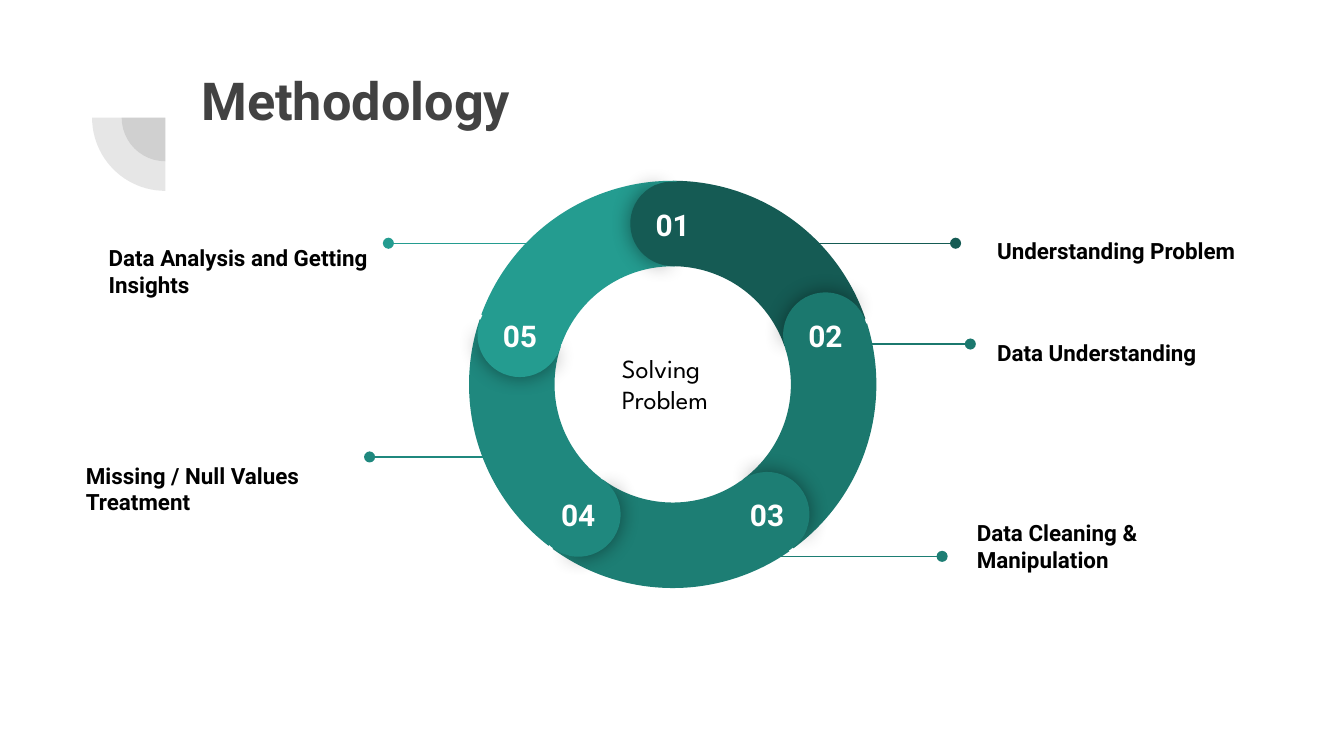
from math import cos, radians, sin

from lxml.etree import SubElement as Sub
from pptx import Presentation
from pptx.dml.color import RGBColor as RGB
from pptx.enum.shapes import MSO_CONNECTOR as LINE, MSO_SHAPE as SHAPE
from pptx.enum.text import MSO_ANCHOR as ANCHOR, PP_ALIGN as ALIGN
from pptx.oxml.ns import qn
from pptx.util import Inches, Pt

THEME = {
    "font": "Roboto", "hub_font": "League Spartan",
    "title": 28, "number": 16, "hub": 14, "label": 12,
    "dark": "424242", "black": "000000", "white": "FFFFFF",
    "steps": ["155B54", "1B786E", "1D7E74", "1F887E", "249C90"],
}

prs = Presentation()
prs.slide_width = Inches(10)
prs.slide_height = prs.slide_width * 9 // 16
s = prs.slides.add_slide(prs.slide_layouts[6])
CELL = prs.slide_width / 100


def grid(*cells):
    return [round(c * CELL) for c in cells]


def text(words, x, y, w, h, size="label", color="black", font="font",
         bold=True, align=ALIGN.LEFT, anchor=ANCHOR.TOP):
    tf = s.shapes.add_textbox(*grid(x, y, w, h)).text_frame
    tf.word_wrap = True
    tf.vertical_anchor = anchor
    tf.margin_left, tf.margin_top, tf.margin_right, tf.margin_bottom = grid(1, 1, 1, 1)
    p = tf.paragraphs[0]
    p.alignment = align
    r = p.add_run()
    r.text = words
    r.font.name = THEME[font]
    r.font.size = Pt(THEME[size])
    r.font.bold = bold
    r.font.color.rgb = RGB.from_string(THEME[color])


STEPS = [
    ("Understanding Problem", 73.2, 13.6, 57, 71.1, 18.1),
    ("Data Understanding", 73.2, 21.2, 62.5, 72.2, 25.6),
    ("Data Cleaning & Manipulation", 71.7, 35.6, 50, 70.1, 41.4),
    ("Missing / Null Values Treatment", 5.4, 31.3, 37.7, 27.5, 34),
    ("Data Analysis and Getting Insights", 7.1, 15.1, 42.3, 28.9, 18.1),
]
for (label, x, y, x1, x2, line_y), color in zip(STEPS, THEME["steps"]):
    c = s.shapes.add_connector(LINE.STRAIGHT, *grid(x1, line_y, x2, line_y))
    c.line.color.rgb = RGB.from_string(color)
    c.line.width = Pt(0.75)
    Sub(c.line._get_or_add_ln(), qn("a:tailEnd"), type="oval")
    Sub(c._element.spPr, qn("a:effectLst"))
    text(label, x, y, 23.2, 10.1, anchor=ANCHOR.MIDDLE)

CX, CY, RING, RADIUS, CAP = 50.05, 28.6, 30.3, 11.95, 6.3
QUARTER = (107.93, 162)
centers = [(CX + RADIUS * cos(radians(72 * i - 90)),
            CY + RADIUS * sin(radians(72 * i - 90))) for i in range(5)]
pieces = [(SHAPE.PIE, 12.3, 8.75, d, 270, QUARTER, THEME["dark"], 13, False)
          for d in (6.5, 10.9)]
for part, i in [("arc", 3), ("arc", 1), ("arc", 0), ("cap", 1), ("arc", 2),
                ("cap", 3), ("arc", 4), ("cap", 0), ("cap", 2), ("cap", 4)]:
    color = THEME["steps"][i]
    if part == "arc":
        pieces.append((SHAPE.BLOCK_ARC, CX, CY, RING, 60 + 72.5 * i,
                       (126.03, 168.68, 0.21), color, 100, False))
    else:
        for turn, angles, shadow in [(357, (61.9, 149.96), True),
                                     (176, (40.28, 171.84), False)]:
            pieces.append((SHAPE.PIE, *centers[i], CAP, turn + 72 * i,
                           angles, color, 100, shadow))

for kind, x, y, d, turn, adjust, color, alpha, shadow in pieces:
    sp = s.shapes.add_shape(kind, *grid(x - d / 2, y - d / 2, d, d))
    sp.rotation = turn % 360
    for k, value in enumerate(adjust):
        sp.adjustments[k] = value
    sp.fill.solid()
    sp.fill.fore_color.rgb = RGB.from_string(color)
    sp.line.fill.background()
    sp.shadow.inherit = False
    spPr = sp._element.spPr
    if alpha < 100:
        Sub(spPr.find(".//" + qn("a:srgbClr")), qn("a:alpha"), val=str(alpha * 1000))
    if shadow:
        glow = Sub(spPr.find(qn("a:effectLst")), qn("a:outerShdw"),
                   blurRad=str(Pt(11.2)), dist="0", dir="0", algn="ctr", rotWithShape="0")
        tint = Sub(glow, qn("a:srgbClr"), val=THEME["black"])
        Sub(tint, qn("a:alpha"), val="43000")

for i, (x, y) in enumerate(centers):
    text(f"{i + 1:02}", x - 2.8, y - 2.3, 5.6, 2.9, size="number", color="white",
         align=ALIGN.CENTER)

text("Methodology", 14, 4.1, 76.9, 8.1, size="title", color="dark")
text("Solving Problem", 45.3, 25.2, 9.4, 6.7, size="hub", font="hub_font", bold=False)

prs.save("out.pptx")
